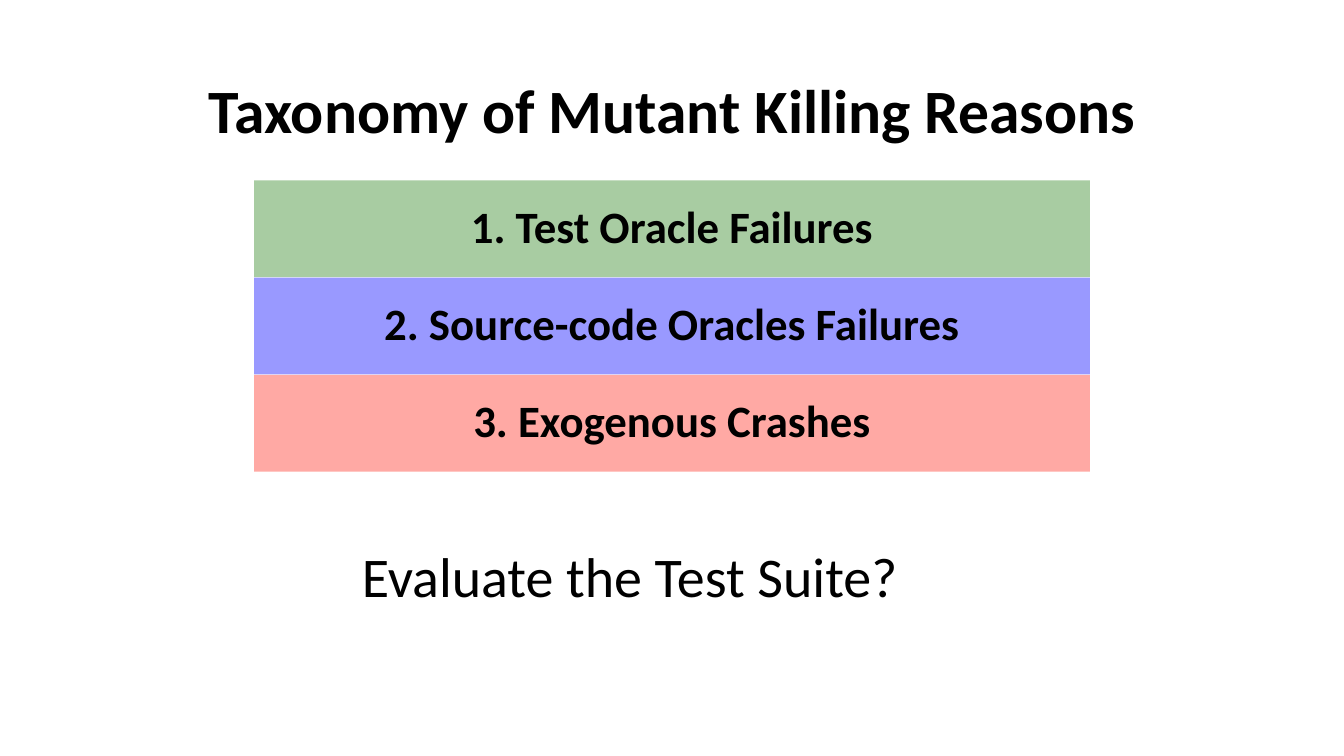
from pptx import Presentation
from pptx.dml.color import RGBColor
from pptx.enum.shapes import MSO_SHAPE
from pptx.enum.text import MSO_ANCHOR, MSO_AUTO_SIZE, PP_ALIGN
from pptx.util import Inches, Pt

BLACK = RGBColor(0x00, 0x00, 0x00)
GREEN = RGBColor(0xA8, 0xCC, 0xA2)
VIOLET = RGBColor(0x99, 0x99, 0xFF)
PINK = RGBColor(0xFF, 0xA9, 0xA4)

REASONS = [
    ("1. Test Oracle Failures", GREEN),
    ("2. Source-code Oracles Failures", VIOLET),
    ("3. Exogenous Crashes", PINK),
]
BAND_TOP, BAND_HEIGHT, BAND_STEP = 1.79, 0.96, 0.965


def place(sp, left, top, width, height):
    sp.left, sp.top = Inches(left), Inches(top)
    sp.width, sp.height = Inches(width), Inches(height)


def write(tf, text, size, bold=False, align=PP_ALIGN.LEFT, spacing=1.0):
    tf.word_wrap = True
    p = tf.paragraphs[0]
    p.alignment = align
    p.line_spacing = spacing
    r = p.add_run()
    r.text = text
    r.font.name = "Calibri"
    r.font.size = Pt(size)
    r.font.bold = bold
    r.font.color.rgb = BLACK


def add_title(s, text):
    sp = s.shapes.title
    place(sp, 0.92, 0.4, 11.5, 1.45)
    tf = sp.text_frame
    tf.auto_size = MSO_AUTO_SIZE.NONE
    tf.vertical_anchor = MSO_ANCHOR.MIDDLE
    write(tf, text, 44, True, PP_ALIGN.CENTER, 0.9)


def add_band(s, top, text, color):
    sp = s.shapes.add_shape(MSO_SHAPE.RECTANGLE, Inches(2.52), Inches(top),
                            Inches(8.29), Inches(BAND_HEIGHT))
    sp.shadow.inherit = False
    sp.fill.solid()
    sp.fill.fore_color.rgb = color
    sp.line.fill.background()
    tf = sp.text_frame
    tf.vertical_anchor = MSO_ANCHOR.MIDDLE
    write(tf, text, 32, True, PP_ALIGN.CENTER, 0.9)


def add_question(s, text):
    sp = s.shapes.add_textbox(Inches(3.49), Inches(5.32), Inches(6.34), Inches(0.77))
    tf = sp.text_frame
    write(tf, text, 40)
    tf.auto_size = MSO_AUTO_SIZE.SHAPE_TO_FIT_TEXT


def main():
    prs = Presentation()
    prs.slide_width, prs.slide_height = Inches(13.33), Inches(7.5)
    s = prs.slides.add_slide(prs.slide_layouts[5])  # Title Only

    # Heading
    add_title(s, "Taxonomy of Mutant Killing Reasons")

    # Stacked bands, one per reason
    for i, (text, color) in enumerate(REASONS):
        add_band(s, BAND_TOP + i * BAND_STEP, text, color)

    # Closing question
    add_question(s, "Evaluate the Test Suite?")

    prs.save("out.pptx")


if __name__ == "__main__":
    main()
